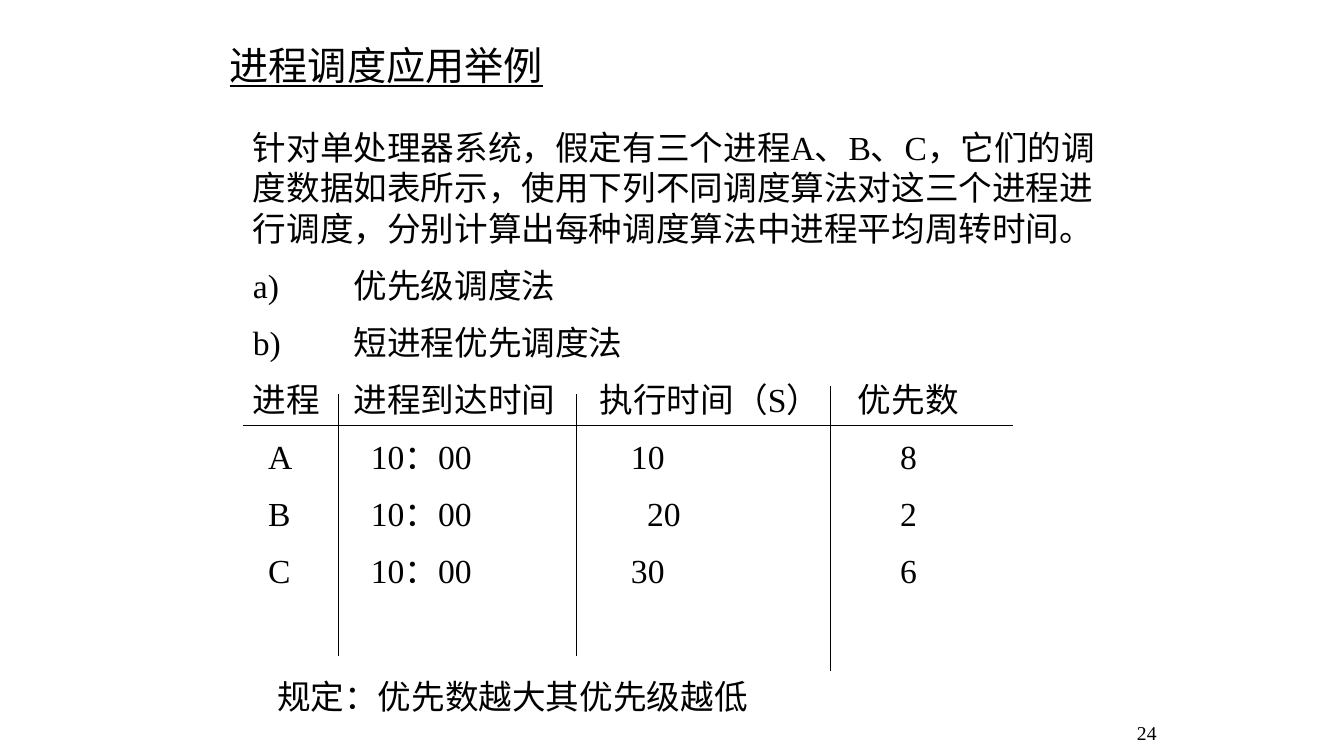
from lxml.etree import SubElement
from pptx import Presentation
from pptx.dml.color import RGBColor
from pptx.enum.shapes import MSO_CONNECTOR
from pptx.enum.text import PP_ALIGN
from pptx.oxml.ns import qn
from pptx.util import Inches, Pt

COLORS = {"ink": "000000", "paper": "FFFFFF"}
FONT = "Times New Roman"

INTRO = ("针对单处理器系统，假定有三个进程A、B、C，它们的调度数据如表所示，"
         "使用下列不同调度算法对这三个进程进行调度，分别计算出每种调度算法中进程平均周转时间。")
METHODS = [("a)", "优先级调度法"), ("b)", "短进程优先调度法")]
HEADER = ("进程", "进程到达时间", "执行时间（S）", "优先数")
HEADER_TABS = (1, 3.44, 6)
# process, arrival, run time, priority, tab stop of the run time
PROCESSES = [("A", "10：00", "10", "8", 3.75),
             ("B", "10：00", "20", "2", 3.91),
             ("C", "10：00", "30", "6", 3.75)]
COLUMN_RULES = [(3.36, 3.91, 6.51), (5.72, 3.91, 6.51), (8.24, 3.83, 6.66)]


class SlideBuilder:
    def __init__(self, prs):
        self.s = prs.slides.add_slide(prs.slide_layouts[6])
        fill = self.s.background.fill
        fill.solid()
        fill.fore_color.rgb = RGBColor.from_string(COLORS["paper"])

    def text_box(self, x, y, w, h):
        tf = self.s.shapes.add_textbox(Inches(x), Inches(y), Inches(w), Inches(h)).text_frame
        tf.word_wrap = True
        return tf

    def paragraph(self, tf, text, size=24, tabs=(), underline=None, align=None):
        """Fill the empty first paragraph, or add one spaced by half a line."""
        p = tf.paragraphs[0]
        if p.runs:
            p = tf.add_paragraph()
            p.space_before = Pt(size / 2)
        p.alignment = align
        if tabs:
            tab_list = SubElement(p._p.get_or_add_pPr(), qn("a:tabLst"))
            for stop in tabs:
                SubElement(tab_list, qn("a:tab"), pos=str(Inches(stop)), algn="l")
        r = p.add_run()
        r.text = text
        r.font.name = FONT
        r.font.size = Pt(size)
        r.font.underline = underline
        r.font.color.rgb = RGBColor.from_string(COLORS["ink"])

    def label(self, x, y, w, h, text, **style):
        self.paragraph(self.text_box(x, y, w, h), text, **style)

    def line(self, x1, y1, x2, y2):
        c = self.s.shapes.add_connector(
            MSO_CONNECTOR.STRAIGHT, Inches(x1), Inches(y1), Inches(x2), Inches(y2))
        c.line.width = Pt(0.75)
        c.line.color.rgb = RGBColor.from_string(COLORS["ink"])
        SubElement(c._element.spPr, qn("a:effectLst"))


def main():
    prs = Presentation()
    prs.slide_width, prs.slide_height = Inches(13.33), Inches(7.5)
    slide = SlideBuilder(prs)

    slide.label(11.03, 7.1, 0.54, 0.4, "24", size=14, align=PP_ALIGN.RIGHT)

    tf = slide.text_box(2.41, 1.21, 8.82, 4.95)
    slide.paragraph(tf, INTRO)
    for method in METHODS:
        slide.paragraph(tf, "\t".join(method), tabs=HEADER_TABS[:1])
    slide.paragraph(tf, "\t".join(HEADER), tabs=HEADER_TABS)
    for *cells, run_time_tab in PROCESSES:
        slide.paragraph(tf, "\t" + "\t".join(cells), tabs=(0.15, 1.17, run_time_tab, 6.42))

    slide.label(2.18, 0.36, 5.9, 0.57, "进程调度应用举例", size=28, underline=True)

    slide.line(2.41, 4.22, 10.05, 4.22)
    for x, top, bottom in COLUMN_RULES:
        slide.line(x, top, x, bottom)

    slide.label(2.65, 6.66, 8.11, 0.5, "规定：优先数越大其优先级越低")
    prs.save("out.pptx")


if __name__ == "__main__":
    main()
